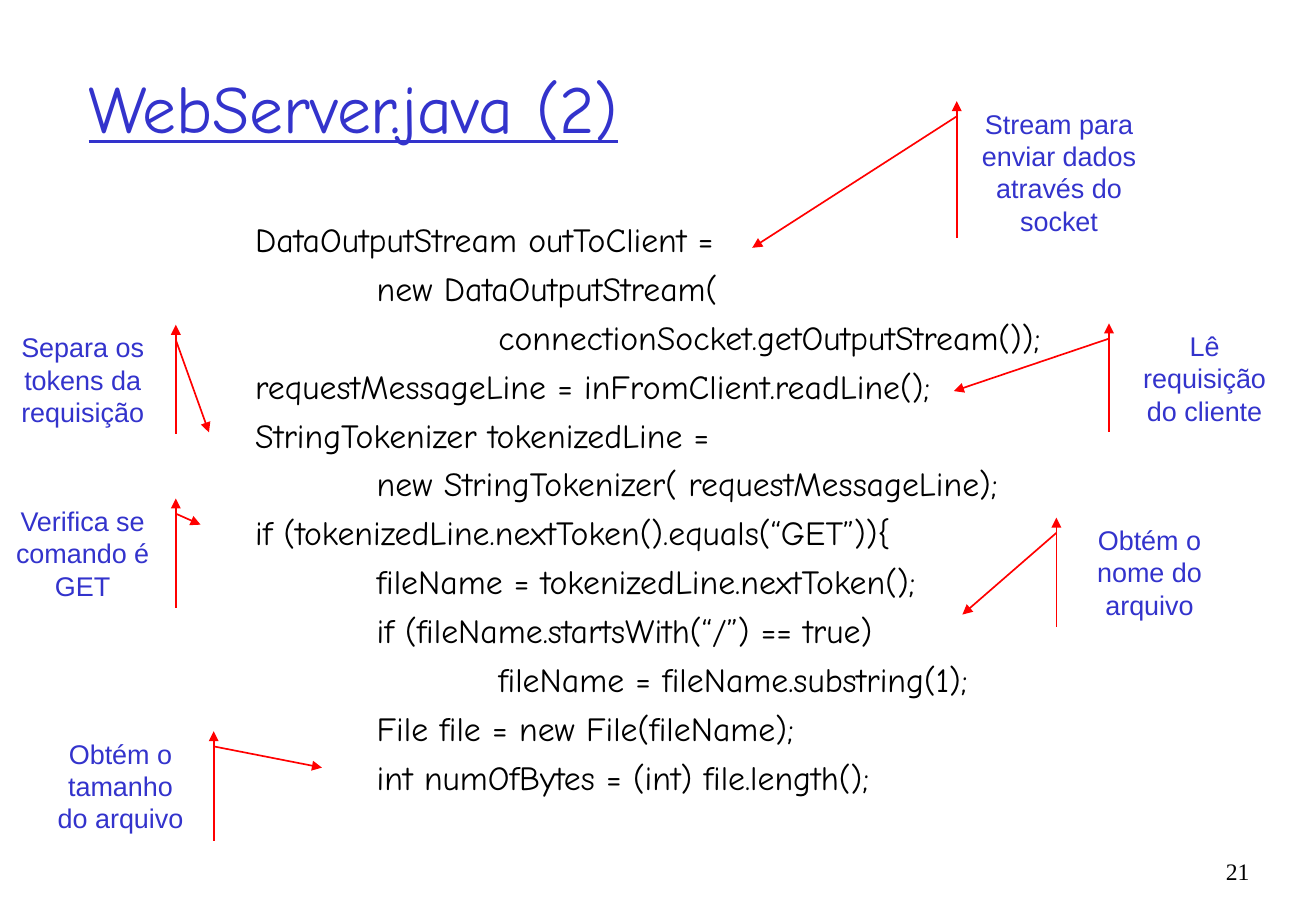
"""Build the WebServer.java slide: a code listing with arrowed notes."""
from dataclasses import dataclass

from lxml.etree import SubElement
from pptx import Presentation
from pptx.dml.color import RGBColor
from pptx.enum.text import MSO_ANCHOR as Anchor, MSO_AUTO_SIZE as AutoSize, PP_ALIGN as Align
from pptx.oxml.ns import qn
from pptx.util import Inches, Pt

WIDTH, HEIGHT = Inches(10.83), Inches(7.5)
BLUE, RED, BLACK = "3333CC", "FF0000", "000000"
BAR_GAP, ELBOW_DROP = 0.8, 1.67
FRAME = {"word_wrap": True, "auto_size": AutoSize.NONE, "vertical_anchor": Anchor.TOP}
TITLE = {"name": "Comic Neue", "size": Pt(40), "underline": True}
CODE = {"name": "Comic Neue", "size": Pt(20)}
NOTE = {"name": "Arial", "size": Pt(16)}
NUMBER = {"name": "Times New Roman", "size": Pt(14)}
Point = tuple[float, float]


@dataclass(frozen=True)
class Area:
    """A rectangle in percent of the slide's width and height."""
    left: float
    top: float
    width: float
    height: float

    def place(self) -> dict:
        """Return the rectangle as lengths on the slide."""
        return {"left": across(self.left), "top": down(self.top),
                "width": across(self.width), "height": down(self.height)}


@dataclass(frozen=True)
class Callout:
    """A note, its area and the point in the code it refers to."""
    text: str
    area: Area
    tip: Point


@dataclass(frozen=True)
class CodeLine:
    """One line of code and its depth of indentation."""
    depth: int
    text: str


CODE_LINES = [
    CodeLine(0, "DataOutputStream outToClient ="),
    CodeLine(1, "new DataOutputStream("),
    CodeLine(2, "connectionSocket.getOutputStream());"),
    CodeLine(0, "requestMessageLine = inFromClient.readLine();"),
    CodeLine(0, "StringTokenizer tokenizedLine ="),
    CodeLine(1, "new StringTokenizer( requestMessageLine);"),
    CodeLine(0, "if (tokenizedLine.nextToken().equals(“GET”)){"),
    CodeLine(1, "fileName = tokenizedLine.nextToken();"),
    CodeLine(1, "if (fileName.startsWith(“/”) == true)"),
    CodeLine(2, "fileName = fileName.substring(1);"),
    CodeLine(1, "File file = new File(fileName);"),
    CodeLine(1, "int numOfBytes = (int) file.length();"),
]
CALLOUTS = [
    Callout("Stream para enviar dados através do socket",
            Area(73.5, 11.1, 13.94, 15.07), (57.16, 27.2)),
    Callout("Lê requisição do cliente", Area(85.07, 35.5, 12.93, 11.87), (72.48, 42.93)),
    Callout("Separa os tokens da requisição", Area(0, 35.65, 12.56, 12), (15.88, 47.47)),
    Callout("Verifica se comando é GET", Area(0, 54.72, 12.56, 12), (15.24, 57.6)),
    Callout("Obtém o nome do arquivo", Area(81.07, 56.83, 12.56, 12), (73.13, 67.47)),
    Callout("Obtém o tamanho do arquivo", Area(2.88, 80.27, 12.56, 12), (24.47, 84.27)),
]


def across(percent: float) -> int:
    """Turn a share of the slide's width into a length."""
    return round(WIDTH * percent / 100)


def down(percent: float) -> int:
    """Turn a share of the slide's height into a length."""
    return round(HEIGHT * percent / 100)


def paint(color_format, color: str) -> None:
    """Give a colour format a hex colour."""
    color_format.rgb = RGBColor.from_string(color)


def apply(target, values: dict) -> None:
    """Set each named attribute of the target."""
    for name, value in values.items():
        setattr(target, name, value)


def write(para, text: str, style: dict, color: str, align=Align.LEFT) -> None:
    """Add one formatted span to a paragraph."""
    para.alignment = align
    span = para.add_run()
    span.text = text
    apply(span.font, style)
    paint(span.font.color, color)


def add_stroke(outlines, area: Area, start: Point, end: Point) -> None:
    """Add an open line, headed at its start, to a callout's outlines."""
    size = area.place()
    stroke = SubElement(outlines, qn("a:path"), w=str(size["width"]),
                        h=str(size["height"]), fill="none")
    for tag, (x, y) in (("a:moveTo", start), ("a:lnTo", end)):
        SubElement(SubElement(stroke, qn(tag)), qn("a:pt"),
                   x=str(across(x - area.left)), y=str(down(y - area.top)))


def add_callout(page, callout: Callout) -> None:
    """Draw a note with the bar on its pointing side and the arrow to the code."""
    area = callout.area
    right, bottom = area.left + area.width, area.top + area.height
    builder = page.shapes.build_freeform(across(area.left), down(area.top))
    corners = [(right, area.top), (right, bottom), (area.left, bottom)]
    builder.add_line_segments([(across(x), down(y)) for x, y in corners], close=True)
    box = builder.convert_to_shape()
    box.shadow.inherit = False
    box.fill.background()
    paint(box.line.color, RED)
    box.line.width = Pt(1)
    SubElement(box.line._get_or_add_ln(), qn("a:headEnd"), type="triangle")
    outlines = next(box._element.spPr.iter(qn("a:pathLst")))
    outlines[0].set("stroke", "0")
    bar = area.left - BAR_GAP if callout.tip[0] < area.left else right + BAR_GAP
    add_stroke(outlines, area, callout.tip, (bar, area.top + ELBOW_DROP))
    add_stroke(outlines, area, (bar, area.top), (bar, bottom))
    apply(box.text_frame, FRAME)
    write(box.text_frame.paragraphs[0], callout.text, NOTE, BLUE, Align.CENTER)


def add_number(page, text: str) -> None:
    """Write the slide number in the bottom right corner."""
    box = page.shapes.add_textbox(**Area(90.86, 93.38, 4.99, 6.62).place())
    apply(box.text_frame, FRAME)
    write(box.text_frame.paragraphs[0], text, NUMBER, BLACK, Align.RIGHT)


def fill_title(title) -> None:
    """Place and write the title."""
    apply(title, Area(5.82, 3.33, 84.95, 16.67).place())
    apply(title.text_frame, FRAME | {"vertical_anchor": Anchor.MIDDLE})
    write(title.text_frame.paragraphs[0], "WebServer.java (2)", TITLE, BLUE)


def fill_code(body) -> None:
    """Place the body and write the code, indented by depth."""
    apply(body, Area(5.82, 23.33, 84.95, 67.73).place())
    frame = body.text_frame
    apply(frame, FRAME)
    for index, line in enumerate(CODE_LINES):
        para = frame.add_paragraph() if index else frame.paragraphs[0]
        para.space_before = Pt(5 if index else 0)
        properties = para._p.get_or_add_pPr()
        properties.set("marL", str(Inches(1.37 + line.depth)))
        properties.set("indent", "0")
        SubElement(properties, qn("a:buNone"))
        write(para, line.text, CODE, BLACK)


def main() -> None:
    """Build and save the deck."""
    deck = Presentation()
    apply(deck, {"slide_width": WIDTH, "slide_height": HEIGHT})
    page = deck.slides.add_slide(deck.slide_layouts[1])
    fill_title(page.shapes.title)
    fill_code(page.placeholders[1])
    for callout in CALLOUTS:
        add_callout(page, callout)
    add_number(page, "21")
    deck.save("out.pptx")


if __name__ == "__main__":
    main()
